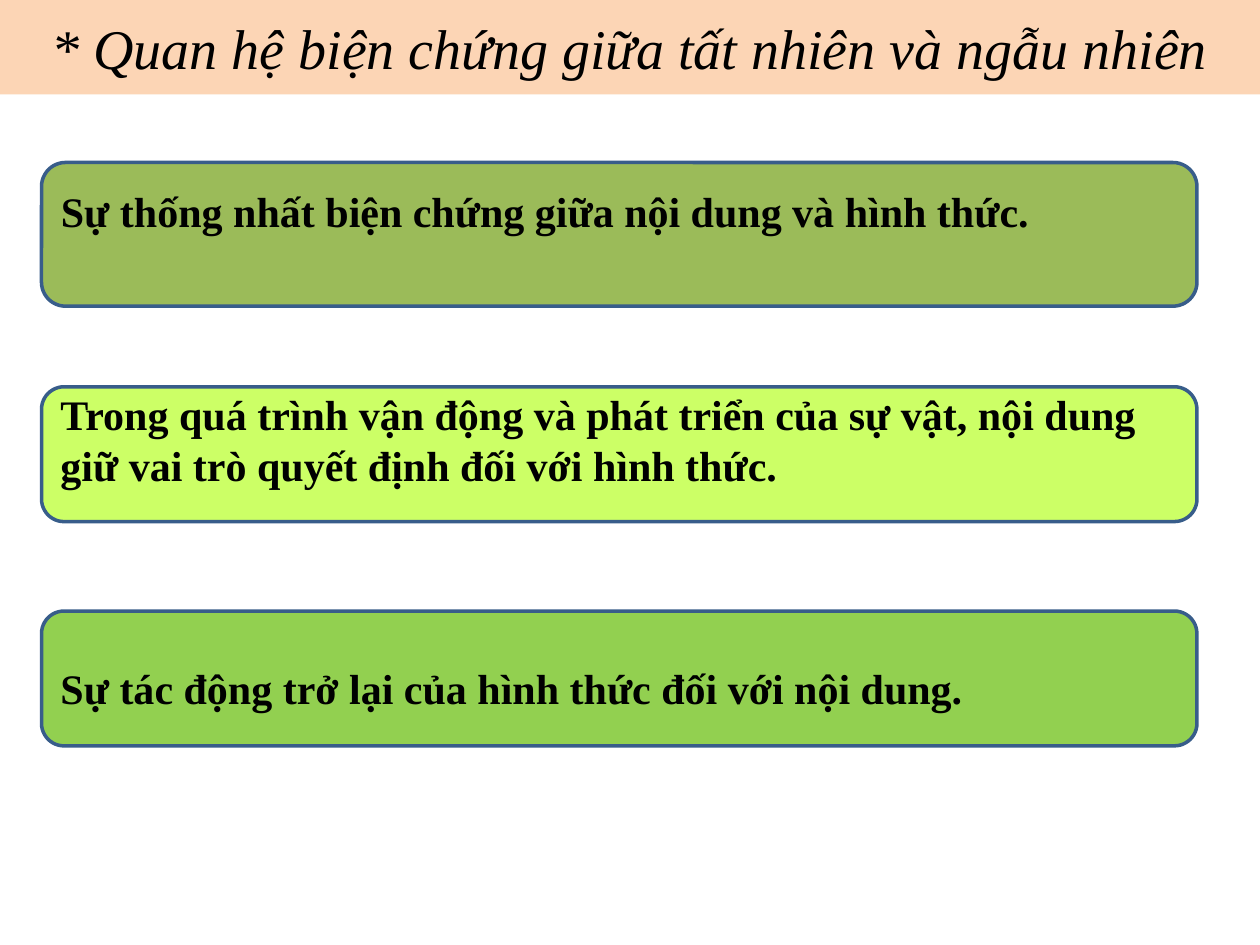
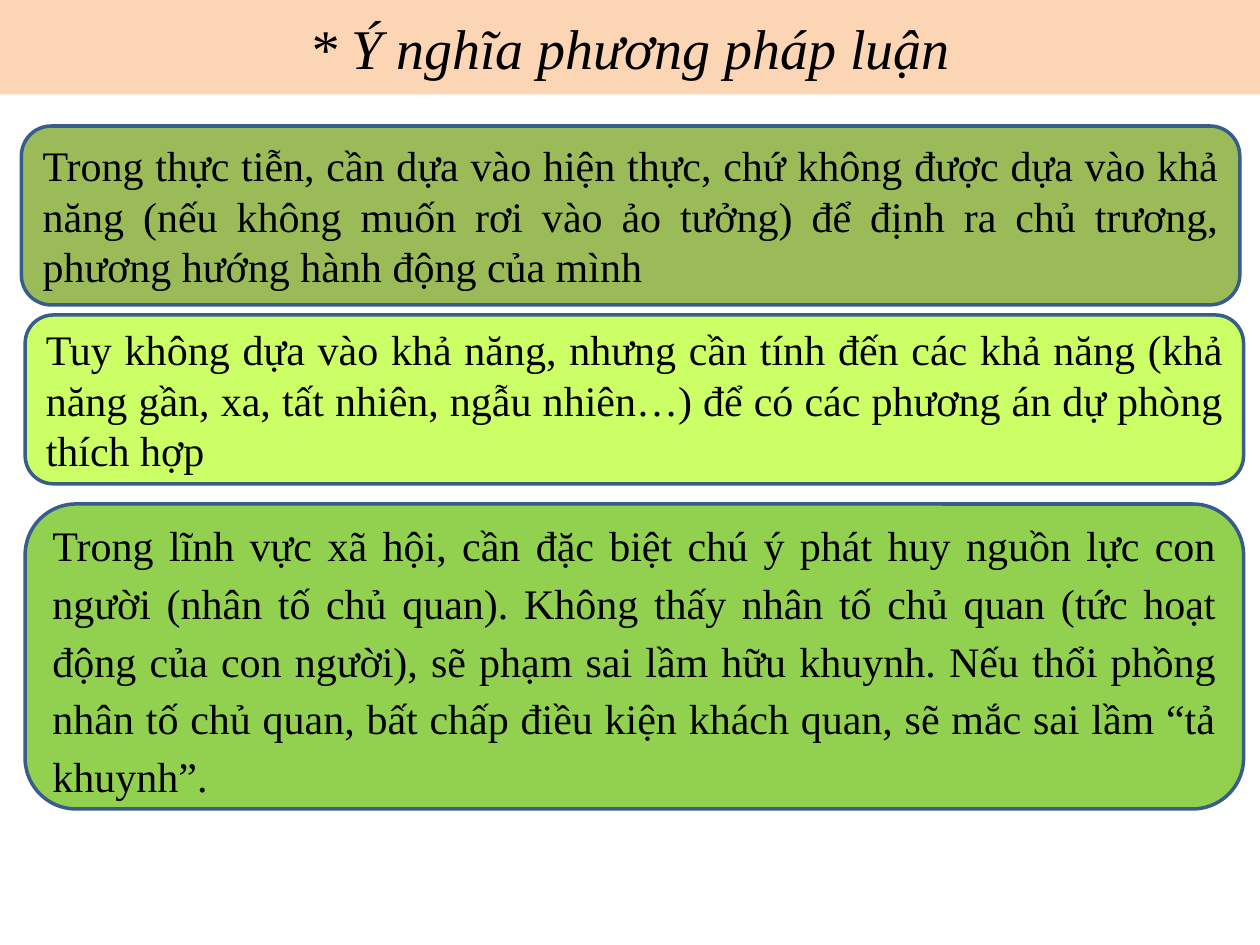
from pptx import Presentation, util as u
from pptx.dml.color import RGBColor
from pptx.enum import shapes, text

PX = 9144  # EMU per px, 100 px to the inch
FONT = "Times New Roman"
BLACK, EDGE, BAND = "000000", "385D8A", "FCD5B5"
FILLS = ["9BBB59", "CCFF66", "92D050"]
LEFT, MID, FULL = (text.PP_ALIGN.LEFT, text.PP_ALIGN.CENTER,
                   text.PP_ALIGN.JUSTIFY)


def color(code):
    return RGBColor.from_string(code)


def write(shape, words, size=24, bold=False, italic=False, align=LEFT,
          lead=None, top=5, bottom=5):
    """Fill a shape with one paragraph; top and bottom are insets in px."""
    frame = shape.text_frame
    frame.word_wrap = True
    frame.vertical_anchor = text.MSO_ANCHOR.MIDDLE
    frame.margin_left = frame.margin_right = 10 * PX
    frame.margin_top, frame.margin_bottom = top * PX, bottom * PX
    para = frame.paragraphs[0]
    para.alignment = align
    if lead:
        para.line_spacing = lead
    run = para.add_run()
    run.text = words
    font = run.font
    font.name, font.size = FONT, u.Pt(size)
    font.bold, font.italic = bold, italic
    font.color.rgb = color(BLACK)


class Deck:
    def __init__(self, width, height):
        self.prs = Presentation()
        self.prs.slide_width, self.prs.slide_height = width * PX, height * PX
        self.width = width
        self.slide = None

    def page(self, title):
        self.slide = self.prs.slides.add_slide(self.prs.slide_layouts[6])
        band = self.block(shapes.MSO_SHAPE.RECTANGLE, 0, 0, self.width, 75,
                          BAND)
        band.line.fill.background()
        write(band, title, size=32, italic=True, align=MID)

    def block(self, kind, x, y, w, h, fill):
        shape = self.slide.shapes.add_shape(kind, x * PX, y * PX, w * PX,
                                            h * PX)
        shape.shadow.inherit = False
        shape.fill.solid()
        shape.fill.fore_color.rgb = color(fill)
        return shape

    def card(self, x, y, w, h, fill, words, **style):
        shape = self.block(shapes.MSO_SHAPE.ROUNDED_RECTANGLE, x, y, w, h,
                           fill)
        shape.line.color.rgb = color(EDGE)
        shape.line.width = u.Pt(2)
        write(shape, words, **style)


def main():
    deck = Deck(1000, 750)

    deck.page("* Quan hệ biện chứng giữa tất nhiên và ngẫu nhiên")
    points = [
        (114, "Sự thống nhất biện chứng giữa nội dung và hình thức.",
         {"bottom": 43}),
        (107, "Trong quá trình vận động và phát triển của sự vật, nội dung "
         "giữ vai trò quyết định đối với hình thức.", {"bottom": 29}),
        (107, "Sự tác động trở lại của hình thức đối với nội dung.",
         {"top": 20}),
    ]
    for row, (high, words, inset) in enumerate(points):
        deck.card(33, 129 + 178 * row, 917, high, FILLS[row], words,
                  bold=True, **inset)

    deck.page("* Ý nghĩa phương pháp luận")
    lessons = [
        (17, 142, "Trong thực tiễn, cần dựa vào hiện thực, chứ không được "
         "dựa vào khả năng (nếu không muốn rơi vào ảo tưởng) để định ra "
         "chủ trương, phương hướng hành động của mình", None),
        (20, 134, "Tuy không dựa vào khả năng, nhưng cần tính đến các khả "
         "năng (khả năng gần, xa, tất nhiên, ngẫu nhiên…) để có các phương "
         "án dự phòng thích hợp", None),
        (20, 242, "Trong lĩnh vực xã hội, cần đặc biệt chú ý phát huy nguồn "
         "lực con người (nhân tố chủ quan). Không thấy nhân tố chủ quan "
         "(tức hoạt động của con người), sẽ phạm sai lầm hữu khuynh. Nếu "
         "thổi phồng nhân tố chủ quan, bất chấp điều kiện khách quan, sẽ "
         "mắc sai lầm “tả khuynh”.", 1.15),
    ]
    for row, (left, high, words, lead) in enumerate(lessons):
        deck.card(left, 100 + 150 * row, 967, high, FILLS[row], words,
                  align=FULL, lead=lead)

    deck.prs.save("out.pptx")


if __name__ == "__main__":
    main()
